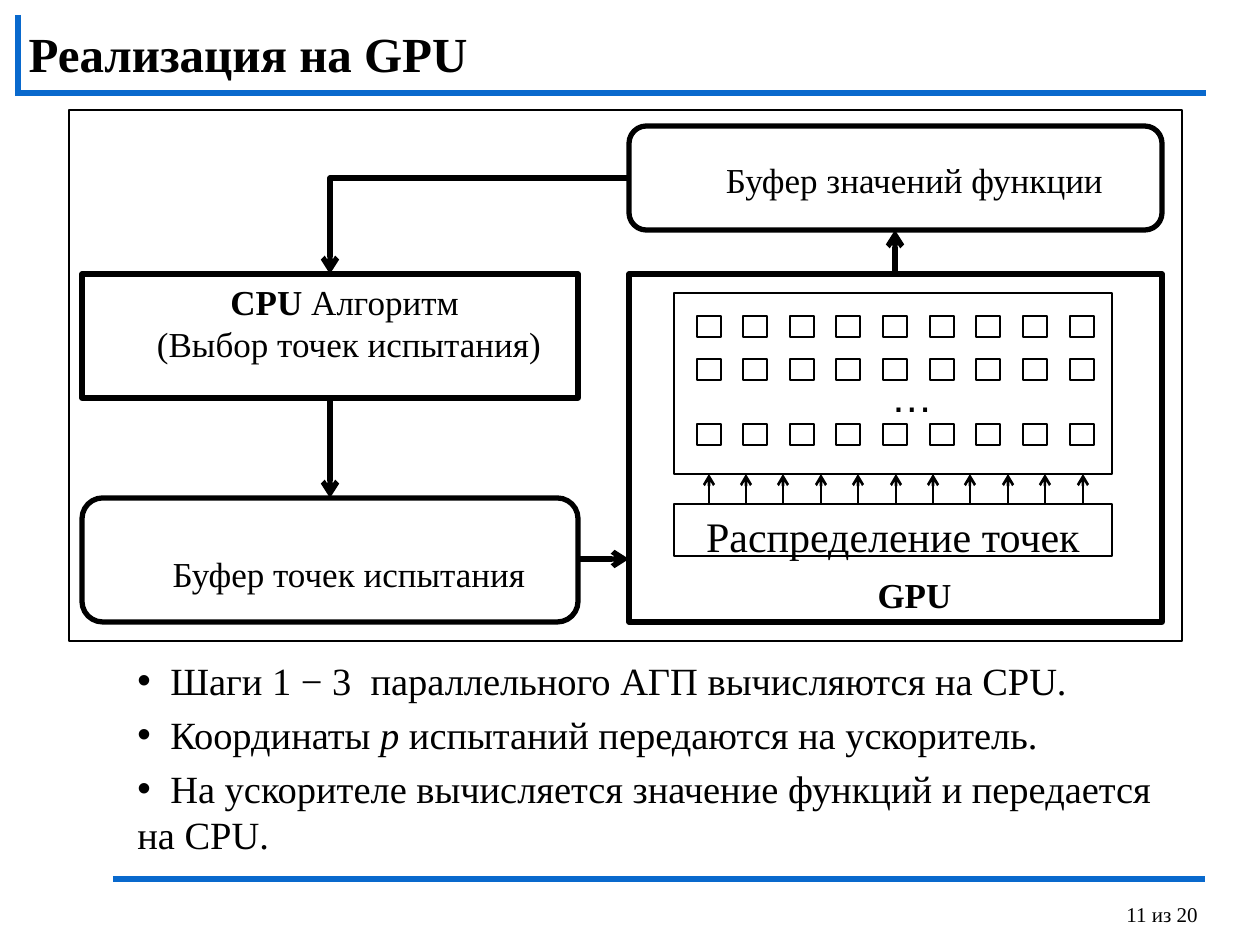
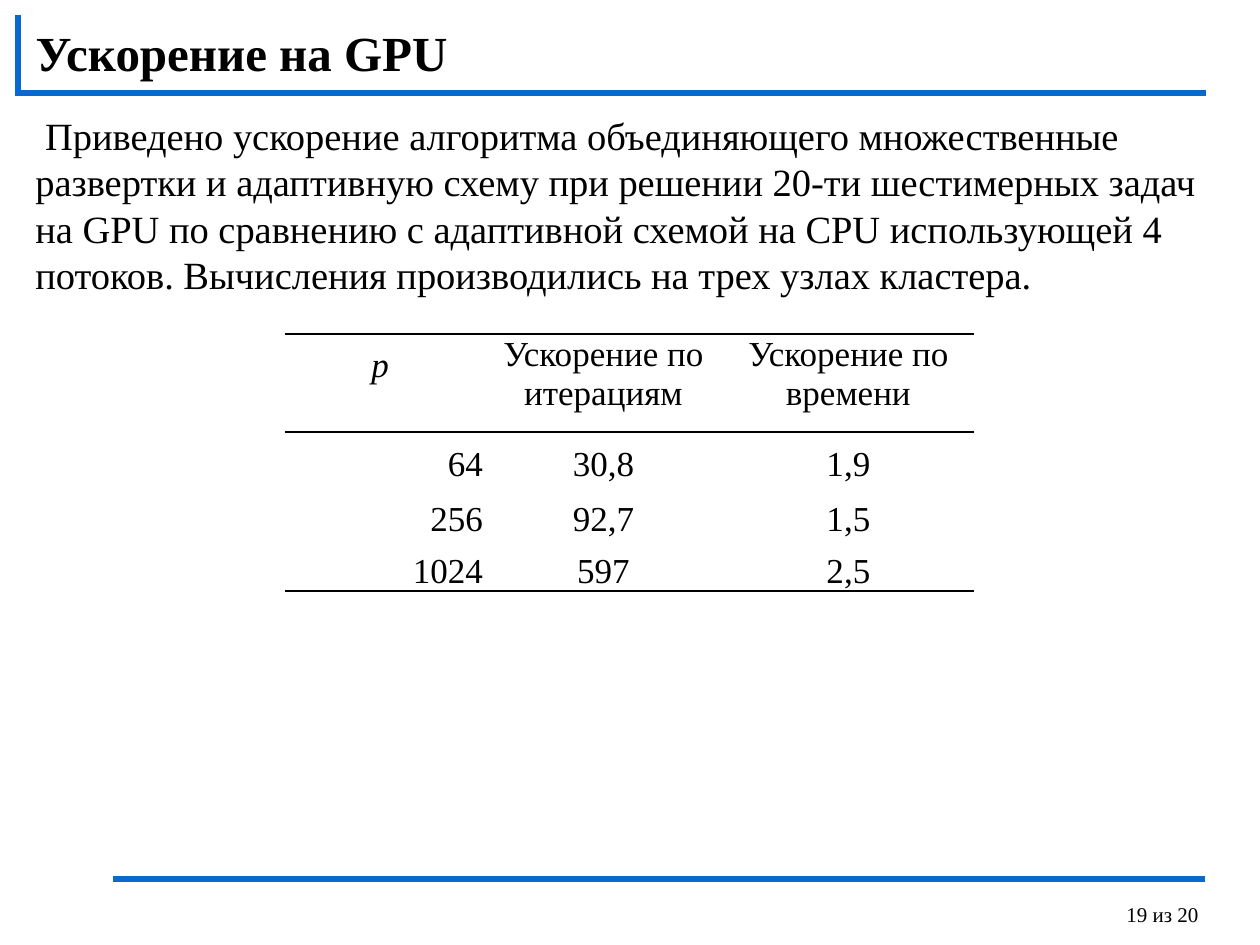
from lxml import etree
from pptx import Presentation
from pptx.dml.color import RGBColor
from pptx.enum.shapes import MSO_CONNECTOR, MSO_SHAPE
from pptx.enum.text import MSO_ANCHOR, MSO_AUTO_SIZE, PP_ALIGN
from pptx.oxml.ns import qn
from pptx.util import Emu, Pt

RECT, ROUND = MSO_SHAPE.RECTANGLE, MSO_SHAPE.ROUNDED_RECTANGLE
LINE, ELBOW = MSO_CONNECTOR.STRAIGHT, MSO_CONNECTOR.ELBOW
TOP, MID, LOW = MSO_ANCHOR.TOP, MSO_ANCHOR.MIDDLE, MSO_ANCHOR.BOTTOM
LEFT, MIDST, RIGHT = PP_ALIGN.LEFT, PP_ALIGN.CENTER, PP_ALIGN.RIGHT
FIXED = MSO_AUTO_SIZE.NONE
DPI = 126
BLACK, WHITE, BLUE = "000000", "FFFFFF", "0969CD"
BASE = {"name": "Times New Roman", "size": Pt(20), "bold": False, "italic": False}
HEAD = {"size": Pt(28), "bold": True}
BODY = {"size": Pt(22)}
LARGE = {"size": Pt(24)}
SMALL = {"size": Pt(12)}
BOLD = {"bold": True}
SLANT = {"italic": True}
TOTAL = 20


def px(num):
    return Emu(round(num * 914400 / DPI))


def hue(code):
    return RGBColor.from_string(code)


def put(item, values):
    for key, value in values.items():
        setattr(item, key, value)


def write(para, runs, look=None, **form):
    put(para, form)
    for text, extra in runs:
        run = para.add_run()
        run.text = text
        put(run.font, BASE | (look or {}) | extra)
        run.font.color.rgb = hue(BLACK)


def fill_text(frame, paras, look=None, anchor=TOP, indent=0, **form):
    put(frame, {"word_wrap": True, "auto_size": FIXED, "vertical_anchor": anchor})
    for num, runs in enumerate(paras):
        para = frame.add_paragraph() if num else frame.paragraphs[0]
        write(para, runs, look, **form)
        if indent:
            para._p.get_or_add_pPr().set("indent", str(px(indent)))


def add_text(slide, area, paras, look, **form):
    box = slide.shapes.add_textbox(*map(px, area))
    fill_text(box.text_frame, paras, look, **form)
    return box


def add_line(slide, start, end, color=BLACK, width=3, arrow=False, kind=LINE):
    link = slide.shapes.add_connector(kind, *map(px, start + end))
    link.line.color.rgb = hue(color)
    link.line.width = Pt(width)
    props = link._element.spPr
    if kind == ELBOW:
        props.find(qn("a:prstGeom")).set("prst", "bentConnector2")
    if arrow:
        etree.SubElement(props.find(qn("a:ln")), qn("a:tailEnd"), type="arrow")
    etree.SubElement(props, qn("a:effectLst"))


def add_box(slide, area, paras=(), kind=RECT, width=3, filled=True, **form):
    box = slide.shapes.add_shape(kind, *map(px, area))
    box.shadow.inherit = False
    if filled:
        box.fill.solid()
        box.fill.fore_color.rgb = hue(WHITE)
    else:
        box.fill.background()
    box.line.color.rgb = hue(BLACK)
    box.line.width = Pt(width)
    if paras:
        fill_text(box.text_frame, paras, alignment=MIDST, **form)


def add_bullet(para, gap):
    props = para._p.get_or_add_pPr()
    put_in = etree.SubElement
    put_in(props, qn("a:buFont"), typeface="Arial")
    put_in(props, qn("a:buChar"), char="•")
    tabs = put_in(props, qn("a:tabLst"))
    put_in(tabs, qn("a:tab"), pos=str(px(gap)), algn="l")


def add_slide(deck, title, left, top, page):
    slide = deck.slides.add_slide(deck.slide_layouts[5])
    head = slide.shapes.title
    put(head, dict(zip(("left", "top", "width", "height"), map(px, (left, top, 1071, 63)))))
    fill_text(head.text_frame, [[(title, {})]], HEAD, MID, alignment=LEFT)
    for start, end in (((113, 879), (1205, 879)), ((15, 93), (1206, 93)), ((18, 15), (18, 95))):
        add_line(slide, start, end, BLUE)
    add_text(slide, (1114, 883, 146, 62), [[(f"{page} из {TOTAL}", {})]], SMALL, line_spacing=1.5)
    return slide


def add_edges(cell, drawn):
    props = cell._tc.get_or_add_tcPr()
    for side in "LRTB":
        edge = etree.SubElement(props, qn(f"a:ln{side}"), w=str(Pt(1)))
        if side in drawn:
            paint = etree.SubElement(edge, qn("a:solidFill"))
            etree.SubElement(paint, qn("a:srgbClr"), val=BLACK)
        else:
            etree.SubElement(edge, qn("a:noFill"))
    cell.fill.background()


def add_grid(slide, area, wide, high, rows):
    grid = slide.shapes.add_table(len(rows), len(wide), *map(px, area)).table
    put(grid, {"first_row": False, "horz_banding": False})
    for col, size in zip(grid.columns, wide):
        col.width = px(size)
    edges = {0: "TB", 1: "T", len(rows) - 1: "B"}
    for r, row in enumerate(rows):
        grid.rows[r].height = px(high[r])
        for c, text in enumerate(row):
            cell = grid.cell(r, c)
            add_edges(cell, edges.get(r, ""))
            put(cell, {"margin_left": px(1), "margin_right": px(1), "margin_top": px(1),
                       "margin_bottom": 0, "vertical_anchor": LOW if r else TOP})
            side = RIGHT if r and not c else MIDST
            look = {} if r or c else SLANT
            write(cell.text_frame.paragraphs[0], [(text, look)], alignment=side)
    put(grid.cell(0, 0), {"vertical_anchor": MID, "margin_bottom": px(36)})


def draw_scheme(slide):
    add_line(slide, (629, 178), (330, 274), arrow=True, kind=ELBOW)
    for start, end in (((330, 398), (330, 498)), ((578, 559), (629, 559)), ((895, 274), (895, 230))):
        add_line(slide, start, end, arrow=True)
    add_box(slide, (629, 274, 533, 348), [[("GPU", BOLD)]], anchor=LOW, indent=38)
    add_box(slide, (82, 274, 496, 124),
            [[("CPU ", BOLD), ("Алгоритм ", {})], [("(Выбор точек испытания)", {})]], indent=38)
    add_box(slide, (82, 498, 496, 124), [[("Буфер точек испытания", {})]],
            ROUND, indent=38, line_spacing=2.0)
    add_box(slide, (629, 126, 533, 104), [[("Буфер значений функции", {})]],
            ROUND, indent=38, line_spacing=1.5)
    add_box(slide, (674, 504, 438, 52), [[("Распределение точек", {})]], width=1, look=LARGE)
    add_box(slide, (674, 293, 438, 181), [[("…", {"name": "Arial"})]], width=1, look=LARGE,
            anchor=MID, indent=38, line_spacing=1.5)
    for top in (316, 359, 424):
        for col in range(9):
            add_box(slide, (697 + col * 373 // 8, top, 24, 21), width=1)
    for num in range(11):
        left = 709 + num * 374 // 10
        add_line(slide, (left, 504), (left, 474), width=1.5, arrow=True)
    add_box(slide, (69, 110, 1113, 531), width=1.5, filled=False)


def main():
    deck = Presentation()
    put(deck, {"slide_width": px(1260), "slide_height": px(945)})

    scheme = add_slide(deck, "Реализация на GPU", 16, 21, 11)
    draw_scheme(scheme)
    steps = [
        [("\tШаги 1 − 3  параллельного АГП вычисляются на CPU.", {})],
        [("\tКоординаты ", {}), ("p", SLANT), (" испытаний передаются на ускоритель.", {})],
        [("\tНа ускорителе вычисляется значение функций и передается на CPU.", {})],
    ]
    box = add_text(scheme, (125, 651, 1071, 210), steps, BODY, space_before=Pt(4.4))
    for para in box.text_frame.paragraphs:
        add_bullet(para, 33)

    speed = add_slide(deck, "Ускорение на GPU", 23, 20, 19)
    note = (" Приведено ускорение алгоритма объединяющего множественные развертки и адаптивную "
            "схему при решении 20-ти шестимерных задач на GPU по сравнению с адаптивной схемой "
            "на CPU использующей 4 потоков. Вычисления производились на трех узлах кластера.")
    add_text(speed, (23, 106, 1192, 196), [[(note, {})]], BODY, space_before=Pt(4.4))
    add_grid(speed, (285, 334, 689, 257), (199, 239, 251), (98, 52, 55, 52), [
        ("p ", "Ускорение по итерациям", "Ускорение по времени"),
        ("64", "30,8", "1,9"),
        ("256", "92,7", "1,5"),
        ("1024", "597", "2,5"),
    ])
    deck.save("out.pptx")


if __name__ == "__main__":
    main()
